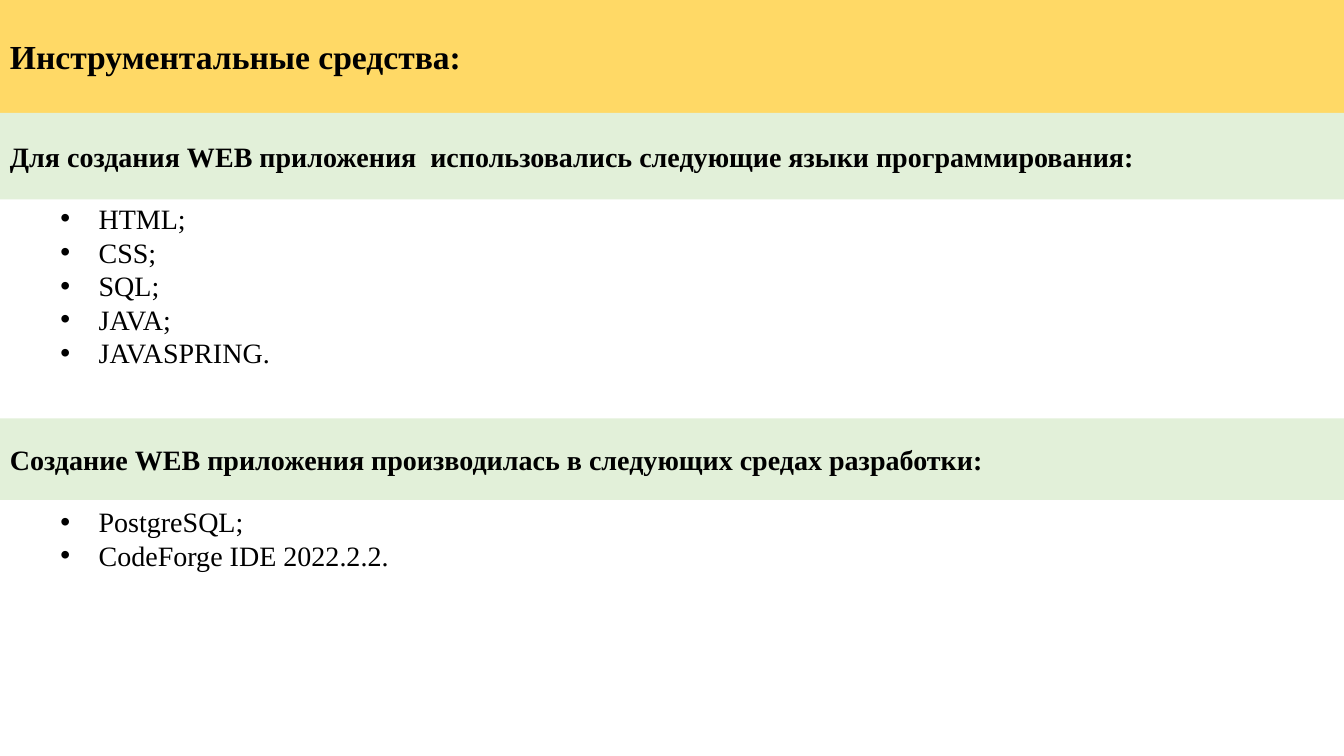
"""Build the slide that lists the languages and development environments."""
from dataclasses import dataclass

from lxml.etree import SubElement
from pptx import Presentation
from pptx.dml.color import RGBColor
from pptx.enum.shapes import MSO_SHAPE
from pptx.enum.text import MSO_ANCHOR, PP_ALIGN
from pptx.oxml.ns import qn
from pptx.slide import Slide
from pptx.text.text import TextFrame
from pptx.util import Inches, Pt

BLACK = RGBColor(0x00, 0x00, 0x00)
YELLOW = RGBColor(0xFF, 0xD9, 0x66)
GREEN = RGBColor(0xE2, 0xF0, 0xD9)
FONT = "Times New Roman"
WIDTH = 13.33


@dataclass(frozen=True)
class Band:
    text: str
    top: float
    height: float
    fill: RGBColor
    size: int = 20


@dataclass(frozen=True)
class BulletList:
    items: tuple[str, ...]
    top: float
    height: float


BANDS = (
    Band("Инструментальные средства:", 0, 1.12, YELLOW, 24),
    Band("Для создания WEB приложения  использовались следующие языки программирования:",
         1.12, 0.86, GREEN),
    Band("Создание WEB приложения производилась в следующих средах разработки:",
         4.15, 0.81, GREEN),
)
LISTS = (
    BulletList(("HTML;", "CSS;", "SQL;", "JAVA;", "JAVASPRING."), 1.95, 1.8),
    BulletList(("PostgreSQL;", "CodeForge IDE 2022.2.2."), 4.96, 0.8),
)


def write(tf: TextFrame, *lines: str, size: int = 20, bold: bool = False,
          bullet: bool = False, anchor: MSO_ANCHOR = MSO_ANCHOR.TOP) -> None:
    tf.word_wrap = True
    tf.vertical_anchor = anchor
    for i, line in enumerate(lines):
        p = tf.add_paragraph() if i else tf.paragraphs[0]
        p.alignment = PP_ALIGN.LEFT
        if bullet:
            p.line_spacing = Pt(24)
            pPr = p._p.get_or_add_pPr()
            pPr.set("marL", str(Inches(0.88)))
            pPr.set("indent", str(Inches(-0.38)))
            SubElement(pPr, qn("a:buFont"), typeface="Arial")
            SubElement(pPr, qn("a:buChar"), char="•")
        r = p.add_run()
        r.text = line
        r.font.name = FONT
        r.font.size = Pt(size)
        r.font.bold = bold
        r.font.color.rgb = BLACK


def draw_band(s: Slide, band: Band) -> None:
    sp = s.shapes.add_shape(MSO_SHAPE.RECTANGLE, Inches(0), Inches(band.top),
                            Inches(WIDTH), Inches(band.height))
    sp.shadow.inherit = False
    sp.fill.solid()
    sp.fill.fore_color.rgb = band.fill
    sp.line.fill.background()
    write(sp.text_frame, band.text, size=band.size, bold=True, anchor=MSO_ANCHOR.MIDDLE)


def draw_list(s: Slide, items: BulletList) -> None:
    sp = s.shapes.add_textbox(Inches(0), Inches(items.top),
                              Inches(WIDTH), Inches(items.height))
    write(sp.text_frame, *items.items, bullet=True)


def main() -> None:
    prs = Presentation()
    prs.slide_width, prs.slide_height = Inches(WIDTH), Inches(7.5)
    s = prs.slides.add_slide(prs.slide_layouts[6])
    for band in BANDS:
        draw_band(s, band)
    for items in LISTS:
        draw_list(s, items)
    prs.save("out.pptx")


if __name__ == "__main__":
    main()
